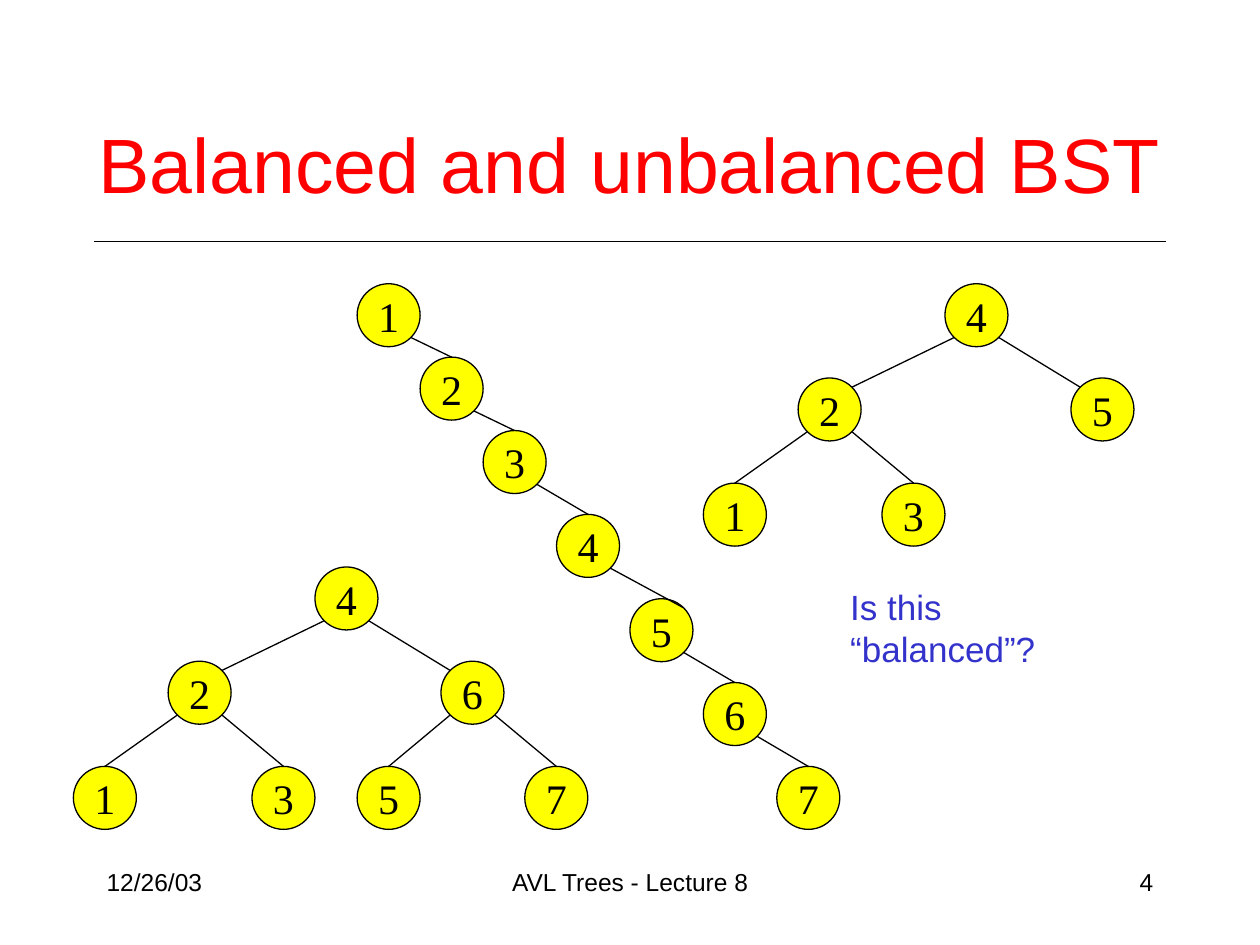
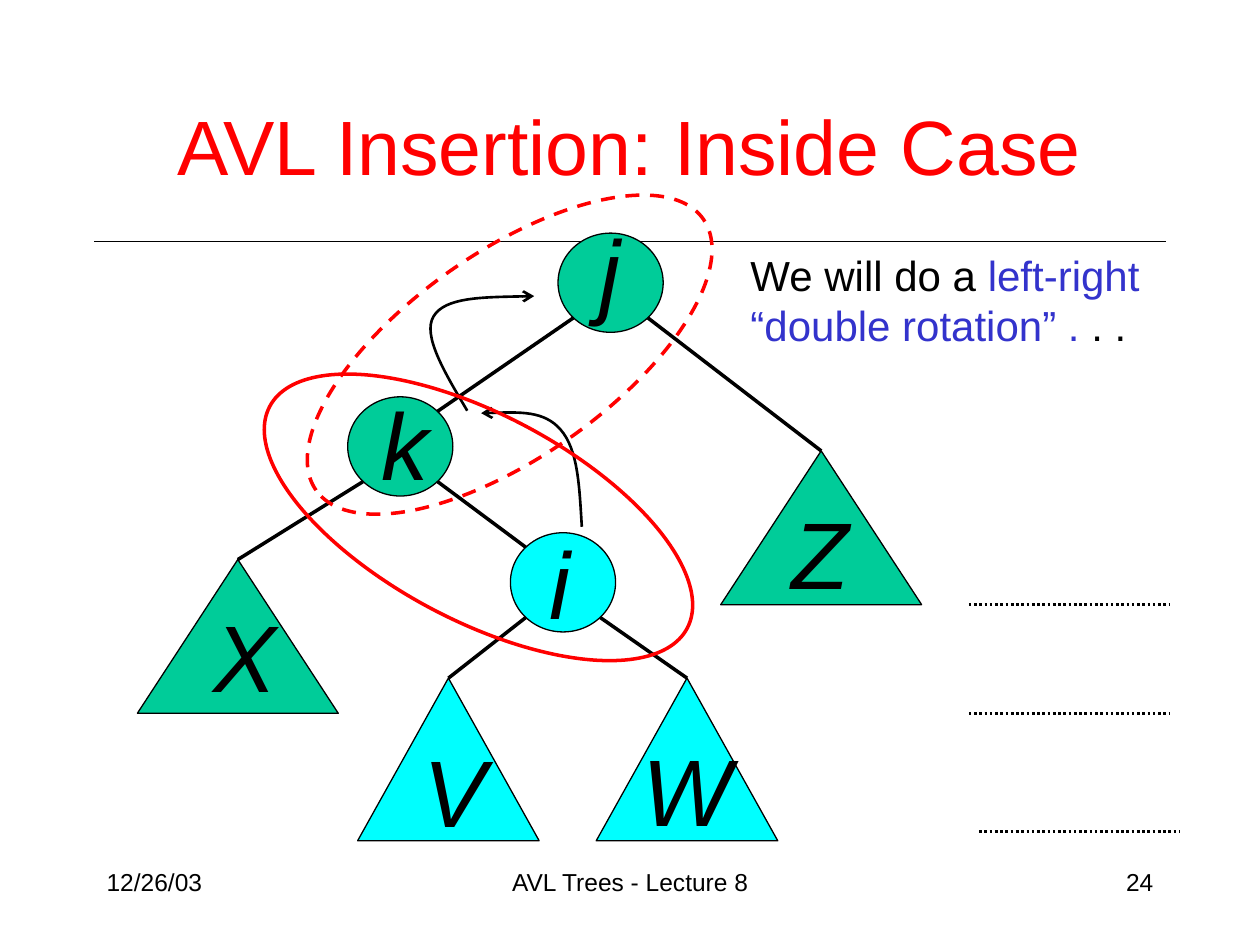
from lxml import etree
from pptx import Presentation
from pptx.dml.color import RGBColor
from pptx.enum.dml import MSO_LINE
from pptx.enum.shapes import MSO_CONNECTOR, MSO_SHAPE
from pptx.enum.text import MSO_ANCHOR, PP_ALIGN
from pptx.oxml.ns import qn
from pptx.util import Cm, Pt

LEFT, CENTER, RIGHT = PP_ALIGN.LEFT, PP_ALIGN.CENTER, PP_ALIGN.RIGHT
TOP, MIDDLE = MSO_ANCHOR.TOP, MSO_ANCHOR.MIDDLE
OVAL, TRIANGLE = MSO_SHAPE.OVAL, MSO_SHAPE.ISOSCELES_TRIANGLE
STRAIGHT = MSO_CONNECTOR.STRAIGHT
DASH, DOT = MSO_LINE.DASH, MSO_LINE.ROUND_DOT

COLORS = {
    name: RGBColor.from_string(value)
    for name, value in {
        "black": "000000", "red": "FF0000", "blue": "3333CC",
        "yellow": "FFFF00", "green": "00CC99", "cyan": "00FFFF",
    }.items()
}

# Points on a node where an edge may end, as fractions of its box
PORTS = {"n": (0.5, 0), "nw": (0.146, 0.146), "ne": (0.854, 0.146),
         "sw": (0.146, 0.854), "se": (0.854, 0.854)}


def set_text(sp, text, size, color="black", font="Arial", align=LEFT,
             anchor=TOP, italic=None, wrap=True):
    tf = sp.text_frame
    tf.text = text
    tf.word_wrap = wrap
    tf.vertical_anchor = anchor
    for p in tf.paragraphs:
        p.alignment = align
        for r in p.runs:
            r.font.size = Pt(size)
            r.font.name = font
            r.font.italic = italic
            r.font.color.rgb = COLORS[color]


def add_line(s, start, end, width, dash=None):
    cx = s.shapes.add_connector(STRAIGHT, *start, *end)
    cx.line.color.rgb = COLORS["black"]
    cx.line.width = Pt(width)
    cx.line.dash_style = dash
    etree.SubElement(cx._element.spPr, qn("a:effectLst"))
    return cx


prs = Presentation()
prs.slide_width, prs.slide_height = Cm(25.4), Cm(19.05)
blank = prs.slide_layouts[6]

# Title, rule and footer of each slide
slides = []
for title, title_top, title_height, number in [
    ("Balanced and unbalanced BST", 1.7, 3.18, "4"),
    ("AVL Insertion: Inside Case", 1.8, 2.24, "24"),
]:
    s = prs.slides.add_slide(blank)
    slides.append(s)
    add_line(s, (Cm(1.9), Cm(4.87)), (Cm(23.5), Cm(4.87)), 0.75)
    sp = s.shapes.add_textbox(Cm(1.48), Cm(title_top), Cm(22.44), Cm(title_height))
    set_text(sp, title, 44, "red", align=CENTER, anchor=MIDDLE)
    for text, x, width, align in [
        ("12/26/03", 1.9, 5.29, LEFT),
        ("AVL Trees - Lecture 8", 8.68, 8.05, CENTER),
        (number, 18.21, 5.29, RIGHT),
    ]:
        sp = s.shapes.add_textbox(Cm(x), Cm(17.35), Cm(width), Cm(1.27))
        set_text(sp, text, 14, align=align)
bst, insertion = slides

# Number trees: (tree, label, x, y); both bushy trees share one layout
BUSHY = [(0, 0), (-2.96, 1.9), (2.54, 1.9), (-4.87, 4.02), (-1.27, 4.02),
         (0.85, 4.02), (4.23, 4.02)]
CHAIN = [(7.2, 5.72), (8.47, 7.2), (9.74, 8.68), (11.22, 10.37),
         (12.7, 12.07), (14.18, 13.76), (15.66, 15.45)]
numbers = [("chain", str(i), x, y) for i, (x, y) in enumerate(CHAIN, 1)]
for tree, root_x, root_y, labels in [("right", 19.05, 5.72, "42513"),
                                     ("left", 6.35, 11.43, "4261357")]:
    numbers += [(tree, label, root_x + dx, root_y + dy)
                for label, (dx, dy) in zip(labels, BUSHY)]

# Nodes: (slide, key, shape, x, y, width, height, fill)
nodes = [(bst, tree + label, OVAL, x, y, 1.27, 1.27, "yellow")
         for tree, label, x, y in numbers]
nodes += [
    (insertion, "j", OVAL, 11.25, 4.7, 2.12, 2.0, "green"),
    (insertion, "k", OVAL, 7.01, 8.0, 2.12, 2.0, "green"),
    (insertion, "i", OVAL, 10.29, 10.74, 2.12, 2.0, "cyan"),
    (insertion, "X", TRIANGLE, 2.77, 11.28, 4.05, 3.1, "green"),
    (insertion, "Z", TRIANGLE, 14.53, 9.09, 4.05, 3.1, "green"),
    (insertion, "V", TRIANGLE, 7.21, 13.67, 3.66, 3.28, "cyan"),
    (insertion, "W", TRIANGLE, 12.02, 13.67, 3.66, 3.28, "cyan"),
]
placed = {}
for s, key, kind, x, y, width, height, fill in nodes:
    sp = s.shapes.add_shape(kind, Cm(x), Cm(y), Cm(width), Cm(height))
    sp.shadow.inherit = False
    sp.fill.solid()
    sp.fill.fore_color.rgb = COLORS[fill]
    sp.line.color.rgb = COLORS["black"]
    sp.line.width = Pt(0.75)
    if s is bst:
        set_text(sp, key[-1], 24, font="Times New Roman", align=CENTER,
                 anchor=MIDDLE, wrap=False)
    placed[key] = sp

# Edges: (slide, line width, parent, port, child, port)
edges = [(bst, 0.75, f"chain{i}", "se", f"chain{i + 1}", "ne" if i == 4 else "n")
         for i in range(1, 7)]
for tree, right_child in [("right", "5"), ("left", "6")]:
    edges += [(bst, 0.75, tree + parent, port, tree + child, end)
              for parent, port, child, end in [
                  ("4", "sw", "2", "ne"), ("4", "se", right_child, "nw"),
                  ("2", "sw", "1", "n"), ("2", "se", "3", "n")]]
edges += [(bst, 0.75, "left6", "sw", "left5", "n"),
          (bst, 0.75, "left6", "se", "left7", "n")]
edges += [(insertion, 2, parent, port, child, end)
          for parent, port, child, end in [
              ("j", "sw", "k", "ne"), ("j", "se", "Z", "n"),
              ("k", "sw", "X", "n"), ("k", "se", "i", "nw"),
              ("i", "sw", "V", "n"), ("i", "se", "W", "n")]]
for s, width, parent, port, child, end in edges:
    start_point, end_point = [
        (round(sp.left + sp.width * PORTS[at][0]), round(sp.top + sp.height * PORTS[at][1]))
        for sp, at in [(placed[parent], port), (placed[child], end)]
    ]
    cx = add_line(s, start_point, end_point, width)
    if end == "n":
        cx.end_connect(placed[child], 0)

# Question beside the right tree
sp = bst.shapes.add_textbox(Cm(16.89), Cm(11.68), Cm(6.27), Cm(1.12))
set_text(sp, "Is this “balanced”?", 20, "blue", wrap=False)

# Letters of the insertion tree
for letter, x, y in [("j", 11.84, 4.17), ("k", 7.44, 7.65), ("i", 10.82, 10.46),
                     ("X", 4.06, 11.94), ("Z", 15.7, 9.86), ("V", 8.28, 14.66),
                     ("W", 12.7, 14.63)]:
    sp = insertion.shapes.add_textbox(Cm(x), Cm(y), Cm(1.3), Cm(2.54))
    set_text(sp, letter, 54, italic=True)

# Dotted level marks
for x, y in [(19.53, 12.19), (19.53, 14.38), (19.74, 16.76)]:
    add_line(insertion, (Cm(x), Cm(y)), (Cm(x + 4.04), Cm(y)), 1.5, DOT)

# Remark on the rotation
sp = insertion.shapes.add_textbox(Cm(14.88), Cm(4.9), Cm(8.59), Cm(2.29))
tf = sp.text_frame
tf.word_wrap = False
tf.text = "\n"
for p, parts in zip(tf.paragraphs, [
    [("We will do a ", "black"), ("left-right", "blue")],
    [("“double rotation” .", "blue"), (" . .", "black")],
]):
    for text, color in parts:
        r = p.add_run()
        r.text = text
        r.font.size = Pt(24)
        r.font.name = "Arial"
        r.font.color.rgb = COLORS[color]

# Curved rotation arrows: a start, then three points for each Bézier curve
for points in [
    [(11.73, 10.62), (11.68, 9.83), (11.66, 9.07), (11.3, 8.66),
     (10.97, 8.28), (10.34, 8.31), (9.7, 8.33)],
    [(9.42, 8.28), (8.97, 7.52), (8.51, 6.76), (8.74, 6.38),
     (8.97, 5.99), (9.88, 5.99), (10.77, 5.97)],
]:
    start, *rest = [(Cm(x), Cm(y)) for x, y in points]
    builder = insertion.shapes.build_freeform(*start)
    builder.add_line_segments(rest, close=False)
    sp = builder.convert_to_shape()
    sp.shadow.inherit = False
    sp.fill.background()
    sp.line.color.rgb = COLORS["black"]
    sp.line.width = Pt(1.5)
    outline = sp._element.find(".//" + qn("a:path"))
    for i, segment in enumerate(outline.findall(qn("a:lnTo"))):
        if i % 3 == 0:
            segment.tag = qn("a:cubicBezTo")
            curve = segment
        else:
            curve.append(segment[0])
            outline.remove(segment)
    ln = sp._element.spPr.find(qn("a:ln"))
    etree.SubElement(ln, qn("a:tailEnd"), type="arrow")

# Red ellipses around the two rotations
for x, y, angle, dash in [(4.88, 8.36, 28, None), (5.51, 5.08, 325, DASH)]:
    sp = insertion.shapes.add_shape(OVAL, Cm(x), Cm(y), Cm(9.53), Cm(4.14))
    sp.shadow.inherit = False
    sp.rotation = angle
    sp.fill.background()
    sp.line.color.rgb = COLORS["red"]
    sp.line.width = Pt(2)
    sp.line.dash_style = dash

prs.save("out.pptx")
